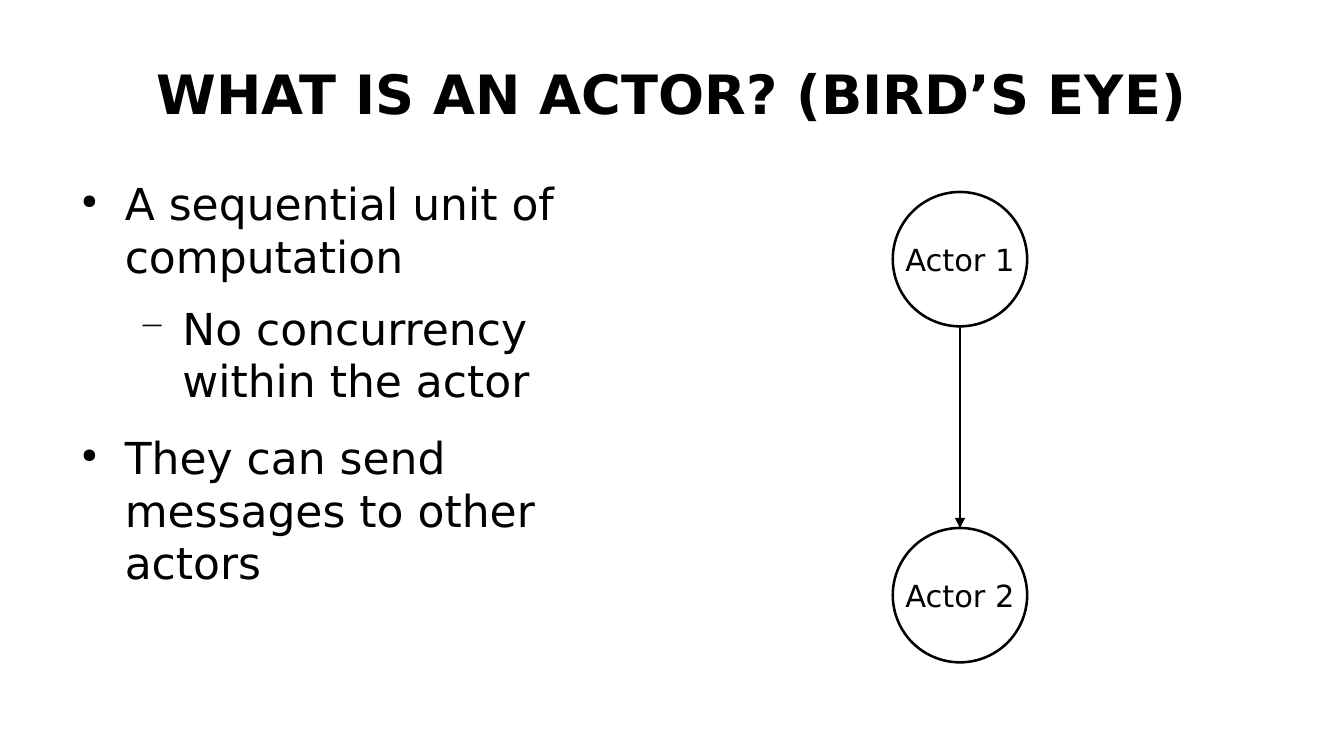
from lxml.etree import SubElement
from pptx import Presentation
from pptx.dml.color import RGBColor
from pptx.enum.shapes import MSO_CONNECTOR, MSO_SHAPE
from pptx.enum.text import MSO_ANCHOR, MSO_AUTO_SIZE, PP_ALIGN
from pptx.oxml.ns import qn
from pptx.util import Cm, Pt

COLORS = {"ink": "000000", "paper": "FFFFFF"}
FONT = "DejaVu Sans"


def color(name):
    return RGBColor.from_string(COLORS[name])


def write(para, text, size=26, bold=False, align=PP_ALIGN.LEFT):
    para.alignment = align
    span = para.add_run()
    span.text = text
    span.font.name = FONT
    span.font.size = Pt(size)
    span.font.bold = bold
    span.font.color.rgb = color("ink")


class SlideWriter:
    bullets = [("●", 45, 14), ("−", 75, 11.1)]
    line_width = Pt(1.5)

    def __init__(self, page):
        self.page = page

    def prepare(self, frame, anchor, margins=(0, 0), wrap=True):
        frame.auto_size = MSO_AUTO_SIZE.NONE
        frame.word_wrap = wrap
        frame.vertical_anchor = anchor
        frame.margin_left = frame.margin_right = Cm(margins[0])
        frame.margin_top = frame.margin_bottom = Cm(margins[1])
        return frame

    def outline(self, line):
        line.color.rgb = color("ink")
        line.width = self.line_width

    def title(self, text, left, top, width, height):
        box = self.page.shapes.title
        box.left, box.top, box.width, box.height = map(Cm, (left, top, width, height))
        frame = self.prepare(box.text_frame, MSO_ANCHOR.MIDDLE)
        write(frame.paragraphs[0], text, size=32, bold=True, align=PP_ALIGN.CENTER)

    def bullet_list(self, items, left, top, width, height):
        box = self.page.shapes.add_textbox(*map(Cm, (left, top, width, height)))
        frame = self.prepare(box.text_frame, MSO_ANCHOR.TOP)
        for index, (level, text) in enumerate(items):
            para = frame.add_paragraph() if index else frame.paragraphs[0]
            write(para, text)
            self.bullet(para, level)

    def bullet(self, para, level):
        mark, percent, space = self.bullets[level]
        para.level = level
        para.space_before = Pt(space)
        props = para._p.get_or_add_pPr()
        props.set("marL", str(Cm(1.2 * (level + 1))))
        props.set("indent", str(Cm(-0.9)))
        tint = SubElement(props, qn("a:buClr"))
        SubElement(tint, qn("a:srgbClr"), val=COLORS["ink"])
        SubElement(props, qn("a:buSzPct"), val=str(percent * 1000))
        SubElement(props, qn("a:buChar"), char=mark)

    def circle(self, text, center, top, size):
        box = self.page.shapes.add_shape(
            MSO_SHAPE.OVAL, Cm(center - size / 2), Cm(top), Cm(size), Cm(size))
        box.shadow.inherit = False
        box.fill.solid()
        box.fill.fore_color.rgb = color("paper")
        self.outline(box.line)
        frame = self.prepare(box.text_frame, MSO_ANCHOR.MIDDLE, (0.28, 0.15), wrap=False)
        write(frame.paragraphs[0], text, size=18, align=PP_ALIGN.CENTER)

    def arrow(self, *ends):
        link = self.page.shapes.add_connector(MSO_CONNECTOR.STRAIGHT, *map(Cm, ends))
        self.outline(link.line)
        SubElement(link.line._get_or_add_ln(), qn("a:tailEnd"), type="triangle")
        SubElement(link._element.spPr, qn("a:effectLst"))


deck = Presentation()
deck.slide_width, deck.slide_height = Cm(28), Cm(15.75)
writer = SlideWriter(deck.slides.add_slide(deck.slide_layouts[5]))

writer.title("WHAT IS AN ACTOR? (BIRD’S EYE)", 1.4, 0.63, 25.2, 2.62)
writer.bullet_list([
    (0, "A sequential unit of computation"),
    (1, "No concurrency within the actor"),
    (0, "They can send messages to other actors"),
], 1.4, 3.68, 12.3, 9.14)

center, size = 20, 2.8
tops = [4, 11]
for number, top in enumerate(tops, 1):
    writer.circle(f"Actor {number}", center, top, size)
writer.arrow(center, tops[0] + size, center, tops[1])

deck.save("out.pptx")
